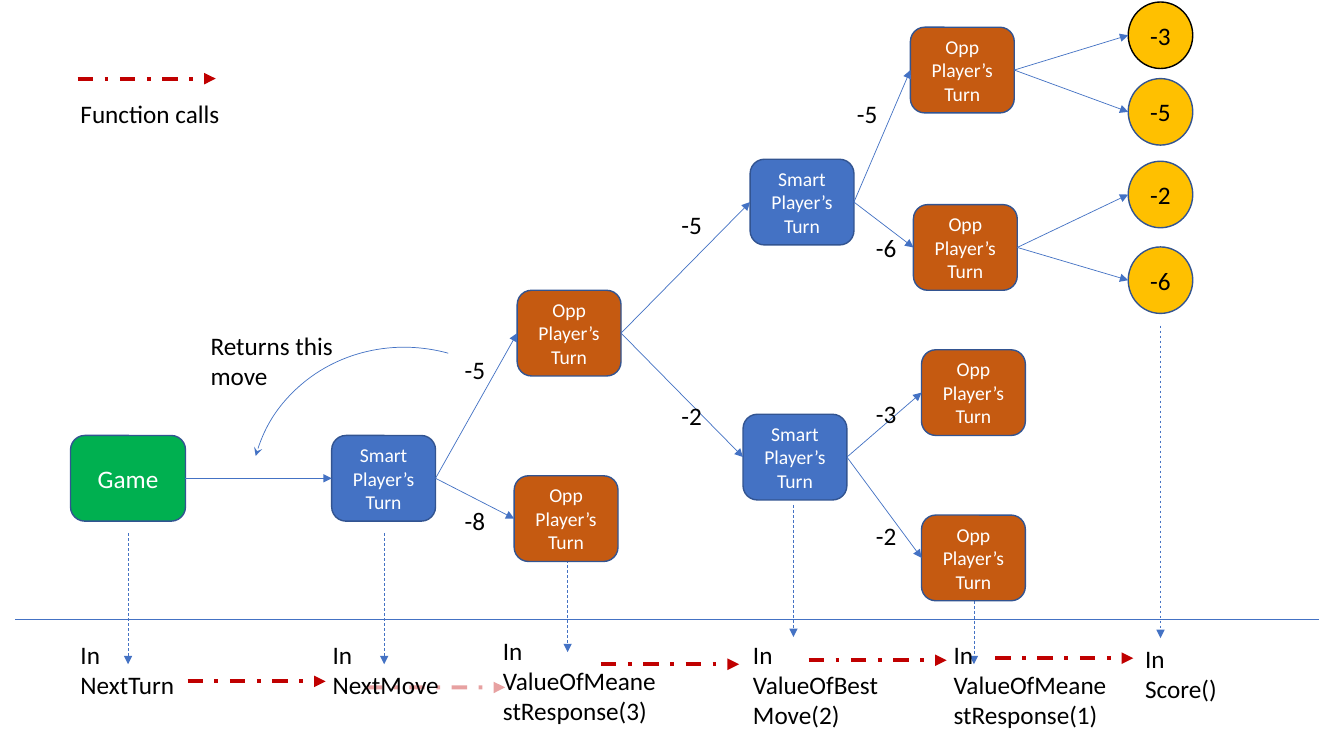
import dataclasses

import lxml.etree
import pptx
import pptx.dml.color
import pptx.enum.dml
import pptx.enum.shapes
import pptx.enum.text
import pptx.oxml.ns
import pptx.util

COLUMNS, ROWS = 133.3, 75
SHAPES = pptx.enum.shapes.MSO_SHAPE
DASHES = pptx.enum.dml.MSO_LINE
LEFT_SITE, RIGHT_SITE, ELLIPSE_LEFT_SITE = 1, 3, 2


@dataclasses.dataclass(frozen=True)
class Theme:
    font: str = "Calibri"
    body: float = 18
    node: float = 14
    thin: float = 0.5
    outline_width: float = 1
    thick: float = 2.75
    dark: str = "000000"
    light: str = "FFFFFF"
    smart: str = "4472C4"
    opponent: str = "C55A11"
    game: str = "00B050"
    score: str = "FFC000"
    outline: str = "325491"
    call: str = "C00000"


THEME = Theme()


@dataclasses.dataclass(frozen=True)
class Box:
    """A region of the slide, in grid columns and rows."""
    left: float
    top: float
    width: float
    height: float

    def inner(self, left, top, width, height):
        return Box(self.left + left, self.top + top, width, height)

    def point(self, column, row):
        return self.left + column, self.top + row

    def lengths(self):
        return [grid(value) for value in dataclasses.astuple(self)]


def grid(units):
    """Ten grid units make one inch, across and down."""
    return pptx.util.Inches(units / 10)


def color(code):
    return pptx.dml.color.RGBColor.from_string(code)


def write(frame, text, size=THEME.body, ink=THEME.dark, align="LEFT", anchor="TOP"):
    frame.word_wrap = True
    frame.vertical_anchor = getattr(pptx.enum.text.MSO_ANCHOR, anchor)
    frame.text = text
    for paragraph in frame.paragraphs:
        paragraph.alignment = getattr(pptx.enum.text.PP_ALIGN, align)
        paragraph.font.name = THEME.font
        paragraph.font.size = pptx.util.Pt(size)
        paragraph.font.color.rgb = color(ink)


def add_label(slide, box, left, top, width, text, lines=1):
    place = box.inner(left, top, width, 1 + 3.05 * lines)
    frame = slide.shapes.add_textbox(*place.lengths()).text_frame
    write(frame, text)
    frame.auto_size = pptx.enum.text.MSO_AUTO_SIZE.SHAPE_TO_FIT_TEXT


def add_node(slide, place, preset, text, fill, outline=THEME.outline, **text_format):
    shape = slide.shapes.add_shape(preset, *place.lengths())
    shape.shadow.inherit = False
    shape.fill.solid()
    shape.fill.fore_color.rgb = color(fill)
    shape.line.color.rgb = color(outline)
    shape.line.width = pptx.util.Pt(THEME.outline_width)
    write(shape.text_frame, text, align="CENTER", anchor="MIDDLE", **text_format)
    return shape


def style_line(shape, ink, width, dash=None, head=None, tail=None, opacity=None):
    shape.line.color.rgb = color(ink)
    shape.line.width = pptx.util.Pt(width)
    if dash is not None:
        shape.line.dash_style = dash
    outline = shape.element.spPr.find(pptx.oxml.ns.qn("a:ln"))
    if opacity is not None:
        ink_element = outline.find(".//" + pptx.oxml.ns.qn("a:srgbClr"))
        alpha = lxml.etree.SubElement(ink_element, pptx.oxml.ns.qn("a:alpha"))
        alpha.set("val", str(opacity * 1000))
    for tag, kind in (("a:headEnd", head), ("a:tailEnd", tail)):
        if kind:
            lxml.etree.SubElement(outline, pptx.oxml.ns.qn(tag)).set("type", kind)


def add_line(slide, start, end, ink=THEME.smart, width=THEME.thin, tail="triangle", **line_format):
    ends = [grid(value) for value in (*start, *end)]
    line = slide.shapes.add_connector(pptx.enum.shapes.MSO_CONNECTOR.STRAIGHT, *ends)
    style_line(line, ink, width, tail=tail, **line_format)
    lxml.etree.SubElement(line.element.spPr, pptx.oxml.ns.qn("a:effectLst"))
    return line


def add_call_arrow(slide, box, column, row, **line_format):
    add_line(slide, box.point(column, row), box.point(column + 13.7, row),
             ink=THEME.call, width=THEME.thick, dash=DASHES.DASH_DOT, **line_format)


def join(slide, parent, child, end_site):
    """Glue an arrow from the right side of parent to the left side of child."""
    line = add_line(slide, (0, 0), (1, 1))
    line.begin_connect(parent, RIGHT_SITE)
    line.end_connect(child, end_site)
    line.end_x = child.left
    line.end_y = child.top + child.height // 2


def draw_game_tree(slide, box):
    turns = {
        "root": ("Smart", 32.9, 43.2),
        "upper reply": ("Opp", 51.3, 28.8),
        "lower reply": ("Opp", 51, 47.2),
        "upper move": ("Smart", 74.4, 15.8),
        "lower move": ("Smart", 73.7, 41.1),
        "reply 1": ("Opp", 90.3, 2.7),
        "reply 2": ("Opp", 90.6, 20.3),
        "reply 3": ("Opp", 91.4, 34.7),
        "reply 4": ("Opp", 91.4, 51.1),
    }
    scores = [("reply 1", "-3", 0.2, THEME.dark), ("reply 1", "-5", 7.8, THEME.outline),
              ("reply 2", "-2", 16, THEME.outline), ("reply 2", "-6", 24.5, THEME.outline)]
    branches = [
        ("root", "upper reply", "-5", 45.1, 34.7),
        ("root", "lower reply", "-8", 45.1, 49.6),
        ("upper reply", "upper move", "-5", 66.6, 20.3),
        ("upper reply", "lower move", "-2", 66.6, 39.2),
        ("upper move", "reply 1", "-5", 84, 9.3),
        ("upper move", "reply 2", "-6", 85.9, 22.6),
        ("lower move", "reply 3", "-3", 85.9, 39),
        ("lower move", "reply 4", "-2", 85.9, 51.1),
    ]
    fills = {"Smart": THEME.smart, "Opp": THEME.opponent}
    nodes = {
        name: add_node(slide, box.inner(left, top, 10.3, 8.5), SHAPES.ROUNDED_RECTANGLE,
                       f"{player} Player’s\nTurn", fills[player], size=THEME.node, ink=THEME.light)
        for name, (player, left, top) in turns.items()
    }
    game = add_node(slide, box.inner(7, 43.2, 11.4, 8.5), SHAPES.ROUNDED_RECTANGLE,
                    "Game", THEME.game, ink=THEME.light)
    join(slide, game, nodes["root"], LEFT_SITE)
    for parent, value, top, outline in scores:
        circle = add_node(slide, box.inner(111.9, top, 6.4, 6.6), SHAPES.OVAL,
                          value, THEME.score, outline)
        join(slide, nodes[parent], circle, ELLIPSE_LEFT_SITE)
    for parent, child, value, left, top in branches:
        join(slide, nodes[parent], nodes[child], LEFT_SITE)
        add_label(slide, box, left, top, 4.4, value)


def draw_call_lane(slide, box):
    """Each stage: text, its place and lines, its drop arrow, its call arrow."""
    stages = [
        ("In NextTurn", (7, 32.9, 11.4), 2, (12.7, 22.9, 35.9), (18.6, 37.6)),
        ("In NextMove", (32, 32.9, 13.1), 2, (38.1, 22.9, 35.9), (36.4, 38.2)),
        ("In ValueOfMeanestResponse(3)", (48.9, 32.5, 17.7), 3, (56.3, 25.6, 34.7), (59.6, 35.9)),
        ("In ValueOfBestMove(2)", (73.7, 32.9, 14.7), 3, (78.7, 20.1, 33.2), (80.2, 35.5)),
        ("In ValueOfMeanestResponse(1)", (93.6, 32.9, 17.7), 3, (96.6, 29.6, 35.9), (98.7, 35.3)),
        ("In Score()", (112.6, 33.3, 11.4), 2, (115.1, 2.3, 33.3), None),
    ]
    add_line(slide, box.point(1.5, 31.4), box.point(130.8, 31.4), tail=None)
    for text, place, lines, (column, top, bottom), call in stages:
        add_line(slide, box.point(column, top), box.point(column, bottom), dash=DASHES.DASH)
        if call:
            add_call_arrow(slide, box, *call, opacity=36 if text == "In NextMove" else None)
        add_label(slide, box, *place, text, lines)


def draw_returned_move(slide, box):
    arc = slide.shapes.add_shape(SHAPES.ARC, *box.inner(5.7, 1.4, 29.8, 31.4).lengths())
    arc.rotation = 285.4
    arc.shadow.inherit = False
    arc.fill.background()
    style_line(arc, THEME.smart, THEME.thin, head="stealth")
    add_label(slide, box, 0, 0, 14.7, "Returns this move", lines=2)


def draw_legend(slide, box):
    add_call_arrow(slide, box, 0.7, 0)
    add_label(slide, box, 0, 1.5, box.width, "Function calls")


def main():
    presentation = pptx.Presentation()
    presentation.slide_width, presentation.slide_height = grid(COLUMNS), grid(ROWS)
    slide = presentation.slides.add_slide(presentation.slide_layouts[6])
    draw_call_lane(slide, Box(0, 30, COLUMNS, ROWS - 30))
    draw_game_tree(slide, Box(0, 0, COLUMNS, 61.4))
    draw_returned_move(slide, Box(19.9, 32.3, 35.5, 33))
    draw_legend(slide, Box(7, 7.8, 16.7, 5.6))
    presentation.save("out.pptx")


if __name__ == "__main__":
    main()
